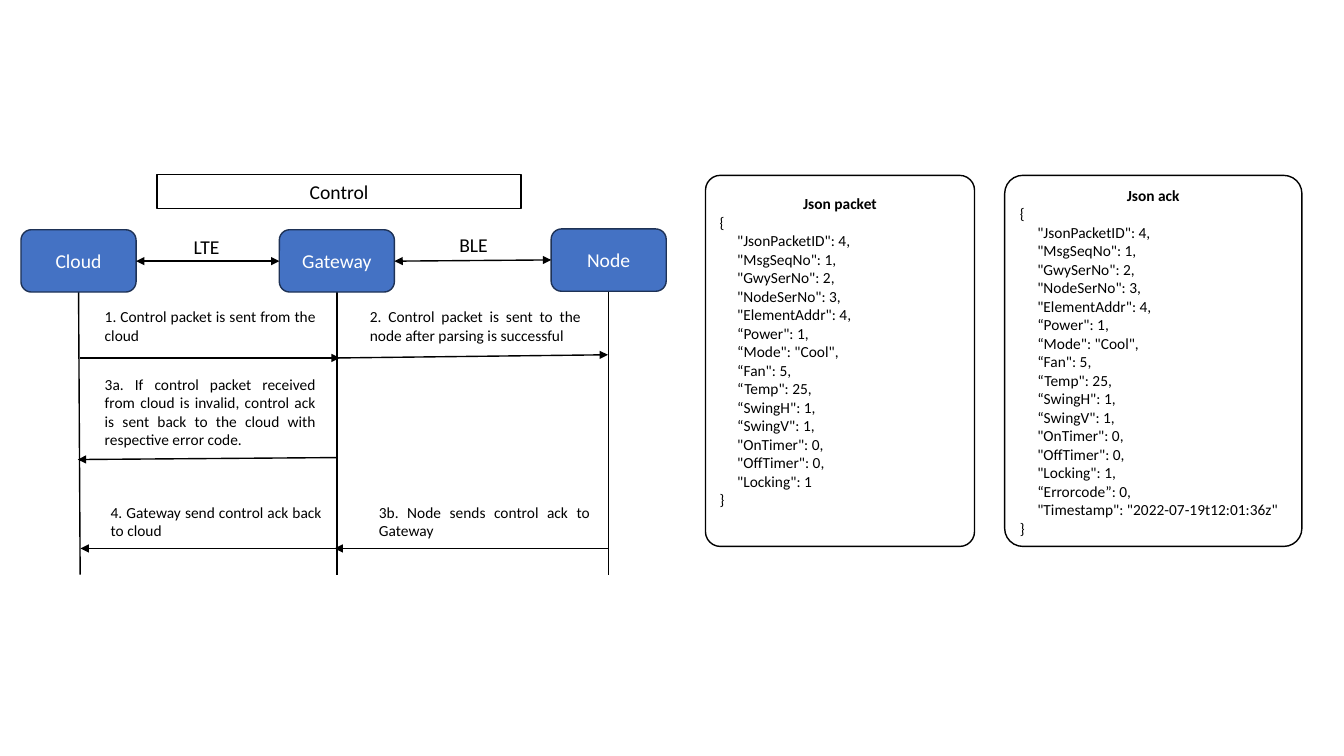
from lxml import etree
from pptx import Presentation
from pptx.dml.color import RGBColor
from pptx.enum.shapes import MSO_CONNECTOR, MSO_SHAPE
from pptx.enum.text import MSO_ANCHOR, MSO_AUTO_SIZE, PP_ALIGN
from pptx.oxml.ns import qn
from pptx.util import Cm, Pt

STRAIGHT = MSO_CONNECTOR.STRAIGHT
ROUNDED = MSO_SHAPE.ROUNDED_RECTANGLE
TOP, MIDDLE = MSO_ANCHOR.TOP, MSO_ANCHOR.MIDDLE
CENTER, JUSTIFY = PP_ALIGN.CENTER, PP_ALIGN.JUSTIFY

THEME = {
    "font": "Calibri",
    "heading": Pt(14),
    "body": Pt(11),
    "line": Pt(1),
    "ink": RGBColor(0x00, 0x00, 0x00),
    "paper": RGBColor(0xFF, 0xFF, 0xFF),
    "actor": RGBColor(0x44, 0x72, 0xC4),
    "actor_edge": RGBColor(0x1E, 0x32, 0x56),
}


def write(shape, text, size, color="ink", align=CENTER, anchor=TOP):
    frame = shape.text_frame
    frame.text = text
    frame.word_wrap = True
    frame.auto_size = MSO_AUTO_SIZE.NONE
    frame.vertical_anchor = anchor
    for paragraph in frame.paragraphs:
        paragraph.alignment = align
        paragraph.line_spacing = 1.0
        paragraph.space_before = Pt(0)
        for run in paragraph.runs:
            run.font.name = THEME["font"]
            run.font.size = THEME[size]
            run.font.color.rgb = THEME[color]


def connect(x1, y1, x2, y2, arrow_ends=()):
    connector = slide.shapes.add_connector(STRAIGHT, Cm(x1), Cm(y1), Cm(x2), Cm(y2))
    connector.line.width = THEME["line"]
    connector.line.color.rgb = THEME["ink"]
    properties = connector.element.spPr
    outline = properties.find(qn("a:ln"))
    for end in arrow_ends:
        etree.SubElement(outline, qn(end), type="triangle")
    etree.SubElement(properties, qn("a:effectLst"))


presentation = Presentation()
presentation.slide_width = Cm(33.87)
presentation.slide_height = Cm(19.05)
slide = presentation.slides.add_slide(presentation.slide_layouts[5])

title = slide.shapes.title
title.left, title.top, title.width, title.height = Cm(3.96), Cm(4.39), Cm(9.17), Cm(0.86)
title.fill.solid()
title.fill.fore_color.rgb = THEME["paper"]
title.line.color.rgb = THEME["ink"]
title.line.width = THEME["line"]
write(title, "Control", "heading", anchor=MIDDLE)

ACTOR_WIDTH, ACTOR_HEIGHT = 2.9, 1.57
LIFELINE_END = 14.48
actors = [("Cloud", 0.53, 5.79, 2.02), ("Gateway", 7.04, 5.79, 8.49), ("Node", 13.89, 5.77, 15.34)]
for name, left, top, lifeline_foot in actors:
    actor_bottom = top + ACTOR_HEIGHT
    connect(left + ACTOR_WIDTH / 2, actor_bottom, lifeline_foot, LIFELINE_END)
    actor = slide.shapes.add_shape(ROUNDED, Cm(left), Cm(top), Cm(ACTOR_WIDTH), Cm(ACTOR_HEIGHT))
    actor.shadow.inherit = False
    actor.fill.solid()
    actor.fill.fore_color.rgb = THEME["actor"]
    actor.line.color.rgb = THEME["actor_edge"]
    actor.line.width = THEME["line"]
    write(actor, name, "heading", "paper", anchor=MIDDLE)

links = [
    ("LTE", 4.14, 5.79, (3.43, 6.58, 7.04, 6.58)),
    ("BLE", 10.87, 5.74, (9.94, 6.58, 13.89, 6.55)),
]
for protocol, left, top, route in links:
    connect(*route, arrow_ends=("a:headEnd", "a:tailEnd"))
    link_label = slide.shapes.add_textbox(Cm(left), Cm(top), Cm(2.13), Cm(0.86))
    write(link_label, protocol, "heading")

messages = [
    ("1. Control packet is sent from the cloud",
     2.39, 7.62, 1.19, (2.01, 9.02, 8.56, 9.02)),
    ("2. Control packet is sent to the node after parsing is successful",
     9.07, 7.62, 1.19, (8.51, 9.02, 15.32, 8.94)),
    ("3a. If control packet received from cloud is invalid, control ack is sent back "
     "to the cloud with respective error code.",
     2.39, 9.32, 2.13, (8.48, 11.53, 1.96, 11.58)),
    ("3b. Node sends control ack to Gateway",
     9.3, 12.55, 1.19, (15.32, 13.82, 8.43, 13.82)),
    ("4. Gateway send control ack back to cloud",
     2.54, 12.55, 1.19, (8.48, 13.82, 2.03, 13.82)),
]
for wording, left, top, height, route in messages:
    connect(*route, arrow_ends=("a:tailEnd",))
    message_label = slide.shapes.add_textbox(Cm(left), Cm(top), Cm(5.82), Cm(height))
    write(message_label, wording, "body", align=JUSTIFY)

shared_fields = [
    '"JsonPacketID": 4', '"MsgSeqNo": 1', '"GwySerNo": 2', '"NodeSerNo": 3',
    '"ElementAddr": 4', '“Power": 1', '“Mode": "Cool"', '“Fan": 5', '“Temp": 25',
    '“SwingH": 1', '“SwingV": 1', '"OnTimer": 0', '"OffTimer": 0', '"Locking": 1',
]
ack_fields = ['“Errorcode”: 0', '"Timestamp": "2022-07-19t12:01:36z"']
listings = [
    ("Json packet", shared_fields, 17.78, 6.78, 0.055, 0.37),
    ("Json ack", shared_fields + ack_fields, 25.32, 7.49, 0.061, 0.13),
]
for heading, fields, left, width, corner, top_inset in listings:
    listing = slide.shapes.add_shape(ROUNDED, Cm(left), Cm(4.42), Cm(width), Cm(9.35))
    listing.adjustments[0] = corner
    listing.shadow.inherit = False
    listing.fill.solid()
    listing.fill.fore_color.rgb = THEME["paper"]
    listing.line.color.rgb = THEME["ink"]
    listing.line.width = THEME["line"]
    body = ",\n".join("     " + field for field in fields)
    write(listing, f"{heading}\n{{\n{body}\n}}", "body", align=JUSTIFY)
    listing.text_frame.margin_top = Cm(top_inset)
    listing.text_frame.margin_bottom = Cm(0)
    heading_line = listing.text_frame.paragraphs[0]
    heading_line.alignment = CENTER
    heading_line.runs[0].font.bold = True

presentation.save("out.pptx")
